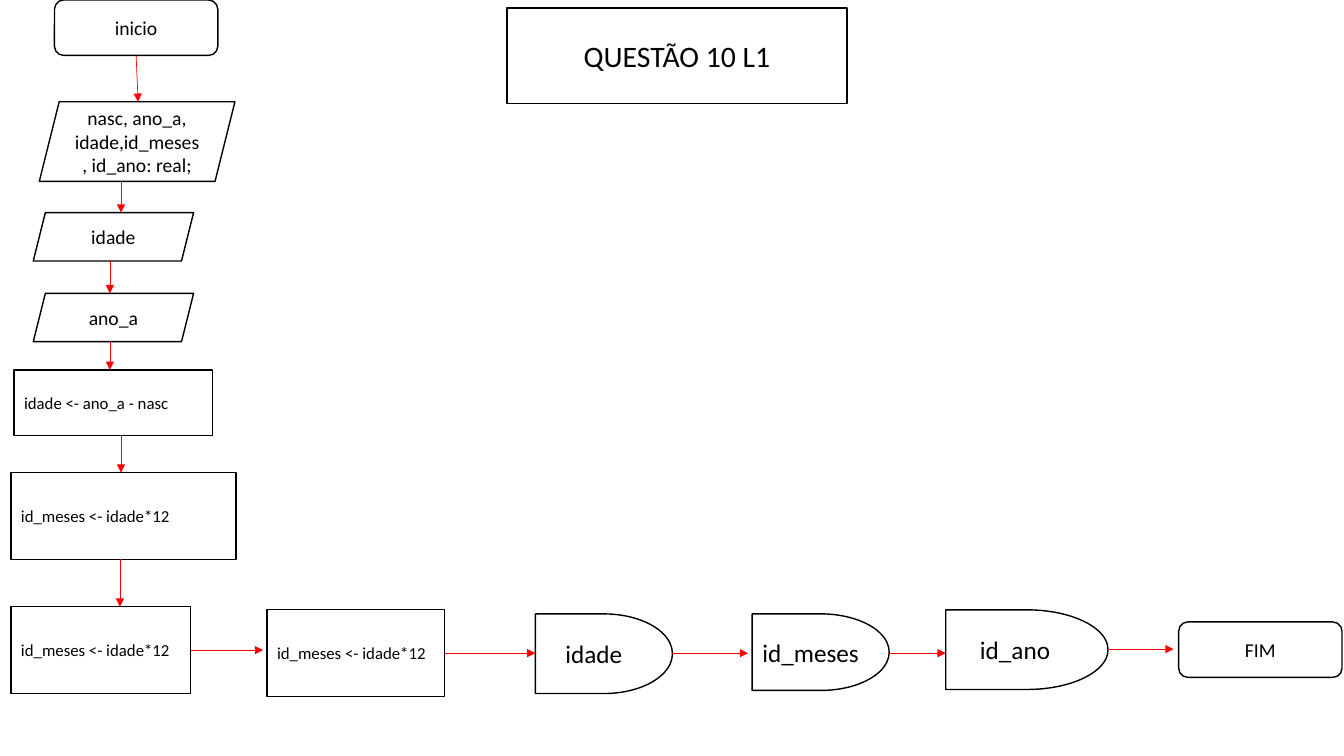
import pptx
import pptx.util
import pptx.dml.color
import pptx.enum.shapes
import pptx.enum.text
import pptx.oxml
import pptx.oxml.ns

COLS, ROWS = 133.3, 75
CELL = pptx.util.Inches(0.1)
MSO = pptx.enum.shapes.MSO_SHAPE
ALIGN = pptx.enum.text.PP_ALIGN
IO_SIZE = (15.9, 4.8)
END_SIZE = (16.2, 5.5)
CALC = dict(size=12, align=ALIGN.JUSTIFY)
SHOW = dict(size=18)


def grid(n):
    """Convert grid cells to a slide length."""
    return pptx.util.Emu(round(n * CELL))


def color(hex_string):
    """Return the colour for a hex string."""
    return pptx.dml.color.RGBColor.from_string(hex_string)


def write(sp, text, size=14, align=ALIGN.CENTER, font="Calibri", ink="000000"):
    """Write one formatted paragraph centred vertically in a shape."""
    tf = sp.text_frame
    tf.word_wrap = True
    tf.auto_size = pptx.enum.text.MSO_AUTO_SIZE.NONE
    tf.vertical_anchor = pptx.enum.text.MSO_ANCHOR.MIDDLE
    p = tf.paragraphs[0]
    p.alignment = align
    r = p.add_run()
    r.text = text
    r.font.name, r.font.size = font, pptx.util.Pt(size)
    r.font.color.rgb = color(ink)


def outline(sp):
    """Give a shape its white fill and thin black line."""
    sp.fill.solid()
    sp.fill.fore_color.rgb = color("FFFFFF")
    sp.line.color.rgb = color("000000")
    sp.line.width = pptx.util.Pt(1)


def step(s, kind, x, y, extent, text, **fmt):
    """Draw one flowchart step."""
    sp = s.shapes.add_shape(kind, *map(grid, (x, y, *extent)))
    sp.shadow.inherit = False
    outline(sp)
    write(sp, text, **fmt)


def arrow(s, x1, y1, x2, y2):
    """Draw a thin red arrow."""
    cx = s.shapes.add_connector(pptx.enum.shapes.MSO_CONNECTOR.STRAIGHT,
                                *map(grid, (x1, y1, x2, y2)))
    cx.line.color.rgb = color("FF0000")
    cx.line.width = pptx.util.Pt(0.5)
    tail = pptx.oxml.parse_xml(
        f'<a:tailEnd {pptx.oxml.ns.nsdecls("a")} type="triangle"/>')
    cx.line._get_or_add_ln().append(tail)
    cx._element.spPr.append(pptx.oxml.parse_xml(
        f'<a:effectLst {pptx.oxml.ns.nsdecls("a")}/>'))


def title_callout(s, x, y, w, h):
    """Shape the title placeholder as a callout in the given box."""
    sp = s.shapes.title
    sp.left, sp.top, sp.width, sp.height = map(grid, (x, y, w, h))
    sp._element.spPr.append(pptx.oxml.parse_xml(
        f'<a:prstGeom {pptx.oxml.ns.nsdecls("a")} prst="wedgeRectCallout"><a:avLst>'
        '<a:gd name="adj1" fmla="val -19900"/><a:gd name="adj2" fmla="val 85800"/>'
        '</a:avLst></a:prstGeom>'))
    outline(sp)
    write(sp, "QUESTÃO 10 L1", size=21.2)


def input_column(s, x, y):
    """Stack the input and calculation steps downwards, joined by arrows."""
    steps = [
        (MSO.ROUNDED_RECTANGLE, 4.3, 0, END_SIZE, "inicio", {}),
        (MSO.PARALLELOGRAM, 2.8, 10.1, (19.4, 7.9),
         "nasc, ano_a, idade,id_meses, id_ano: real;", {}),
        (MSO.PARALLELOGRAM, 2.2, 21.1, IO_SIZE, "idade", {}),
        (MSO.PARALLELOGRAM, 2.2, 29.1, IO_SIZE, "ano_a", {}),
        (MSO.RECTANGLE, 0.3, 36.7, (19.7, 6.5), "idade <- ano_a - nasc", CALC),
        (MSO.RECTANGLE, 0, 46.9, (22.3, 8.6), "id_meses <- idade*12", CALC),
        (MSO.RECTANGLE, 0, 60.2, (17.8, 8.6), "id_meses <- idade*12", CALC),
    ]
    for kind, dx, dy, extent, text, fmt in steps:
        step(s, kind, x + dx, y + dy, extent, text, **fmt)
    ends = [(12.4, 12.6), (10.9, 10.9), (9.8, 9.8), (9.8, 9.8), (10.9, 10.9), (10.8, 10.8)]
    for upper, lower, (x1, x2) in zip(steps, steps[1:], ends):
        arrow(s, x + x1, y + upper[2] + upper[3][1], x + x2, y + lower[2])


def output_row(s, x, y, entry):
    """Line up the output steps rightwards, each reached by an arrow."""
    steps = [
        (MSO.RECTANGLE, 0, 0, (17.6, 8.6), "id_meses <- idade*12", CALC, 4, 0.4),
        (MSO.FLOWCHART_DELAY, 26.6, 0.4, (13.6, 7.9), "idade", SHOW, 4.3, 0),
        (MSO.FLOWCHART_DELAY, 48.1, 0.4, (13.6, 7.6), "id_meses", SHOW, 4.3, 0.4),
        (MSO.FLOWCHART_DELAY, 67.3, 0, (16.1, 7.9), "id_ano", SHOW, 4.3, 0),
        (MSO.ROUNDED_RECTANGLE, 90.4, 1.2, END_SIZE, "FIM", {}, 3.9, 0.5),
    ]
    start = entry
    for kind, dx, dy, extent, text, fmt, level, gap in steps:
        step(s, kind, x + dx, y + dy, extent, text, **fmt)
        arrow(s, start, y + level, x + dx - gap, y + level)
        start = x + dx + extent[0]


def main():
    """Build and save the flowchart slide."""
    prs = pptx.Presentation()
    prs.slide_width, prs.slide_height = grid(COLS), grid(ROWS)
    s = prs.slides.add_slide(prs.slide_layouts[5])
    title_callout(s, 50.3, 0.8, 33.7, 9.5)
    input_column(s, 1.1, 0)
    output_row(s, 26.5, 60.5, entry=18.9)
    prs.save("out.pptx")


if __name__ == "__main__":
    main()
